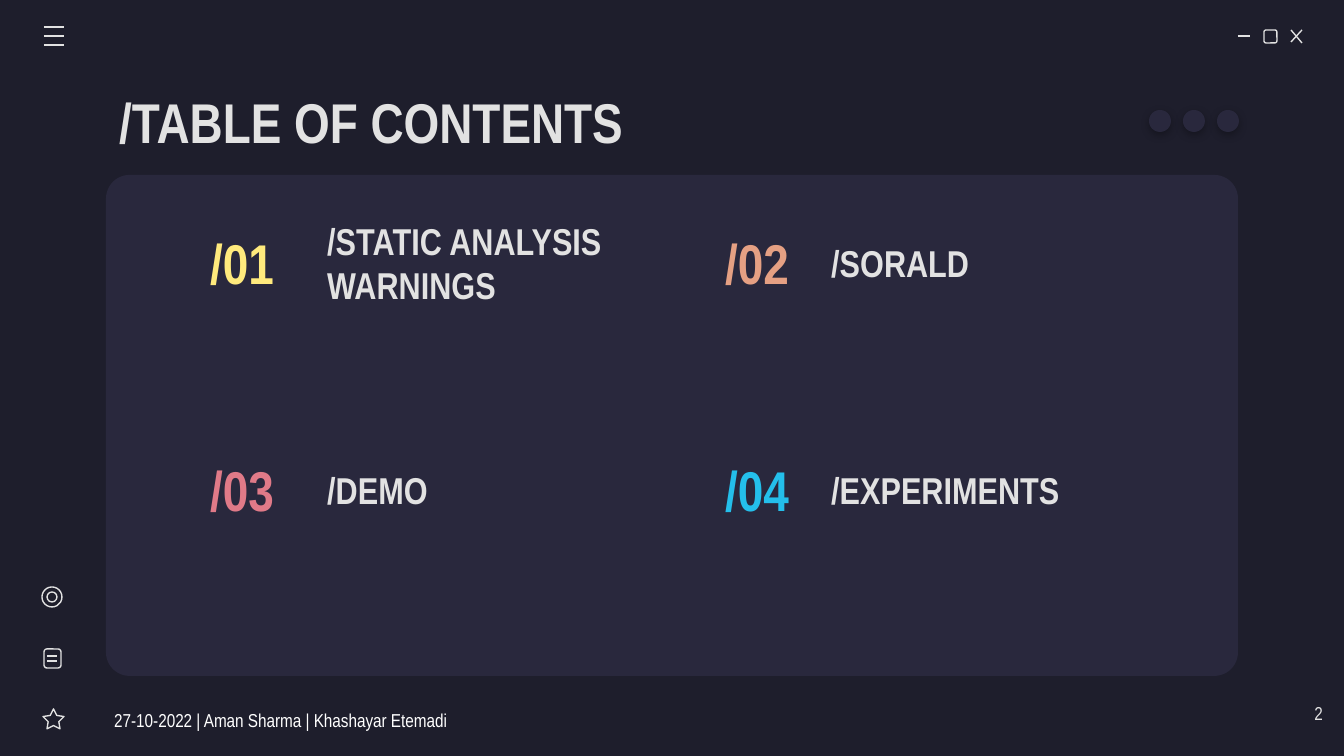
from lxml import etree
from pptx import Presentation
from pptx import util as u
from pptx.dml.color import RGBColor
from pptx.enum import shapes, text
from pptx.oxml import ns

PX = 914400 / 134.4
LIGHT = "E2E2E2"
PANEL = "29283D"
hex_color = RGBColor.from_string
kinds = shapes.MSO_SHAPE
align = text.PP_ALIGN
anchors = text.MSO_ANCHOR

deck = Presentation()
deck.slide_width = round(1344 * PX)
deck.slide_height = round(756 * PX)
page = deck.slides.add_slide(deck.slide_layouts[6])
page.background.fill.solid()
page.background.fill.fore_color.rgb = hex_color("1E1E2C")


def draw_shape(kind, place, fill=None, adjust=None):
    shape = page.shapes.add_shape(kind, *[round(v * PX) for v in place])
    shape.shadow.inherit = False
    if fill:
        shape.fill.solid()
        shape.fill.fore_color.rgb = hex_color(fill)
        shape.line.fill.background()
    else:
        shape.fill.background()
        shape.line.color.rgb = hex_color(LIGHT)
        shape.line.width = u.Pt(0.75)
    if adjust:
        shape.adjustments[0] = adjust
    return shape


def write(words, place, size, color=LIGHT, bold=True, side=align.LEFT, anchor=anchors.MIDDLE):
    box = page.shapes.add_textbox(*[round(v * PX) for v in place])
    frame = box.text_frame
    frame.word_wrap = True
    frame.vertical_anchor = anchor
    frame.margin_left = frame.margin_right = u.Inches(0.1)
    frame.margin_top = frame.margin_bottom = u.Inches(0.1)
    frame.text = words
    para = frame.paragraphs[0]
    para.alignment = side
    span = para.runs[0]
    span.font.name = "Arial Narrow"
    span.font.size = u.Pt(size)
    span.font.bold = bold
    span.font.color.rgb = hex_color(color)
    return box


draw_shape(kinds.ROUNDED_RECTANGLE, (106, 175, 1132, 501), PANEL, 0.047)

icon_shapes = [
    (kinds.ROUNDED_RECTANGLE, (1264, 30, 13, 13), None),
    (kinds.STAR_5_POINT, (43, 709, 21, 20), 0.254),
    (kinds.ROUNDED_RECTANGLE, (44, 649, 17, 19), None),
    (kinds.OVAL, (42, 587, 20, 20), None),
    (kinds.OVAL, (47, 592, 10, 10), None),
]
for kind, place, adjust in icon_shapes:
    draw_shape(kind, place, adjust=adjust)

window_lines = [(1238, 36, 1250, 36), (1291, 30, 1302, 43), (1302, 30, 1291, 42)]
menu_lines = [(44, y, 64, y) for y in (27, 36, 45)]
note_lines = [(47, y, 57, y) for y in (656, 661)]
for ends in window_lines + menu_lines + note_lines:
    line = page.shapes.add_connector(
        shapes.MSO_CONNECTOR.STRAIGHT, *[round(v * PX) for v in ends]
    )
    line.line.color.rgb = hex_color(LIGHT)
    line.line.width = u.Pt(0.75)
    etree.SubElement(line._element.spPr, ns.qn("a:effectLst"))

for i in range(3):
    dot = draw_shape(kinds.OVAL, (1149 + 34 * i, 110, 22, 22), PANEL)
    effects = dot._element.spPr.find(ns.qn("a:effectLst"))
    shadow = etree.SubElement(
        effects, ns.qn("a:outerShdw"),
        blurRad="57150", dist="19050", dir="5400000", algn="bl", rotWithShape="0",
    )
    black = etree.SubElement(shadow, ns.qn("a:srgbClr"), val="000000")
    etree.SubElement(black, ns.qn("a:alpha"), val="30000")

write("/TABLE OF CONTENTS", (106, 79, 1132, 85), 30)

topics = [
    ("/STATIC ANALYSIS WARNINGS", "FFEA7D"),
    ("/SORALD", "E5A083"),
    ("/DEMO", "E07A88"),
    ("/EXPERIMENTS", "24BFEB"),
]
columns = [(181, 314), (696, 818)]
for i, (topic, color) in enumerate(topics):
    number_x, topic_x = columns[i % 2]
    y = 225 + 227 * (i // 2)
    write(f"/{i + 1:02}", (number_x, y, 122, 75), 30, color, side=align.CENTER)
    write(topic, (topic_x, y, 344, 75), 20)

footer = write(
    "27-10-2022 | Aman Sharma | Khashayar Etemadi", (101, 700, 423, 40), 10, "FFFFFF", False
)
footer.text_frame.margin_right = 0
write("2", (1255, 691, 81, 58), 10, bold=False, side=align.RIGHT, anchor=anchors.TOP)

deck.save("out.pptx")
